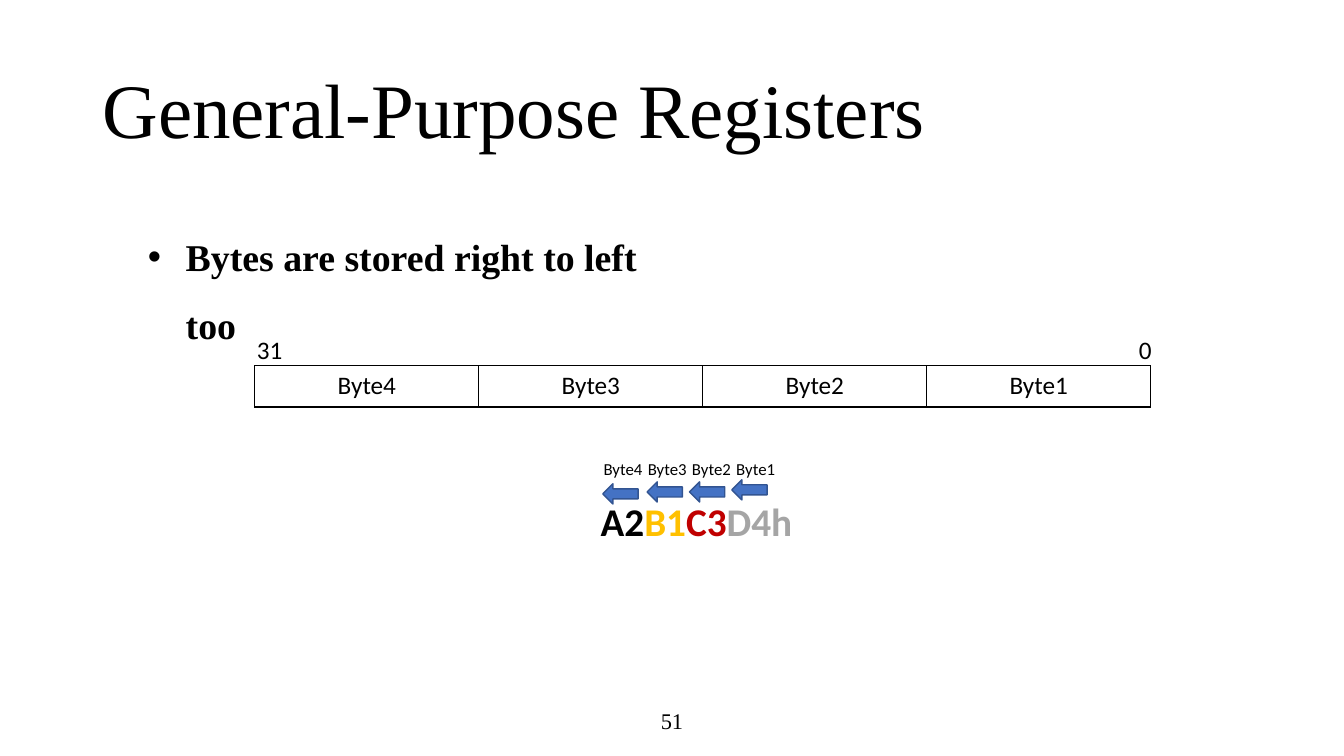
"""Builds a slide on the byte order of general-purpose registers."""
from dataclasses import dataclass

from lxml import etree
from pptx import Presentation
from pptx.dml.color import RGBColor
from pptx.enum.shapes import MSO_SHAPE
from pptx.enum.text import MSO_ANCHOR, MSO_AUTO_SIZE, PP_ALIGN
from pptx.oxml.ns import qn
from pptx.util import Pt

LEFT, CENTER = PP_ALIGN.LEFT, PP_ALIGN.CENTER
TOP, MIDDLE = MSO_ANCHOR.TOP, MSO_ANCHOR.MIDDLE
NO_AUTOFIT = MSO_AUTO_SIZE.NONE
LEFT_ARROW = MSO_SHAPE.LEFT_ARROW

BLACK = RGBColor(0x00, 0x00, 0x00)
GOLD = RGBColor(0xFF, 0xC0, 0x00)
RED = RGBColor(0xC0, 0x00, 0x00)
GRAY = RGBColor(0xA5, 0xA5, 0xA5)
BLUE = RGBColor(0x44, 0x72, 0xC4)
DARK_BLUE = RGBColor(0x32, 0x54, 0x91)

SERIF = "Times New Roman"
SANS = "Calibri"
BYTES = ("Byte4", "Byte3", "Byte2", "Byte1")
LABEL_LEFT, LABEL_STEP = 424, 31.6
ARROWS = ((430.6, 345.6), (462.2, 344.2), (492.5, 344.2), (522.7, 342.7))


@dataclass
class Label:
    left: float
    top: float
    width: float
    height: float
    runs: tuple
    size: float
    font: str = SANS
    bold: bool = False
    wrap: bool = False
    align: PP_ALIGN = LEFT
    anchor: MSO_ANCHOR = TOP


def set_attrs(target, values: dict) -> None:
    for name, value in values.items():
        setattr(target, name, value)


def format_font(font, size: float, name: str, bold=False, color=BLACK) -> None:
    set_attrs(font, {"size": Pt(size), "name": name, "bold": bold})
    font.color.rgb = color


def add_label(shapes, label: Label):
    box = shapes.add_textbox(Pt(label.left), Pt(label.top), Pt(label.width), Pt(label.height))
    tf = box.text_frame
    set_attrs(tf, {"word_wrap": label.wrap, "vertical_anchor": label.anchor})
    p = tf.paragraphs[0]
    p.alignment = label.align
    for text, color in label.runs:
        r = p.add_run()
        r.text = text
        format_font(r.font, label.size, label.font, label.bold, color)
    return p


def add_title(s) -> None:
    title = s.shapes.title
    set_attrs(title, {"left": Pt(66), "top": Pt(28.8), "width": Pt(828), "height": Pt(104.4)})
    tf = title.text_frame
    set_attrs(tf, {"auto_size": NO_AUTOFIT, "vertical_anchor": MIDDLE, "word_wrap": True})
    p = tf.paragraphs[0]
    set_attrs(p, {"alignment": LEFT, "line_spacing": 0.9})
    r = p.add_run()
    r.text = "General-Purpose Registers"
    format_font(r.font, 55, SERIF)


def add_bullet(p) -> None:
    pPr = p._p.get_or_add_pPr()
    pPr.set("marL", str(Pt(27)))
    pPr.set("indent", str(-Pt(27)))
    etree.SubElement(pPr, qn("a:buFont")).set("typeface", "Arial")
    etree.SubElement(pPr, qn("a:buChar")).set("char", "•")
    p.line_spacing = 1.5


def format_cell(cell, text: str) -> None:
    tcPr = cell._tc.get_or_add_tcPr()
    for side in ("a:lnL", "a:lnR", "a:lnT", "a:lnB"):
        ln = etree.SubElement(tcPr, qn(side), w=str(Pt(1)))
        fill = etree.SubElement(ln, qn("a:solidFill"))
        etree.SubElement(fill, qn("a:srgbClr"), val=str(BLACK))
    cell.fill.background()
    p = cell.text_frame.paragraphs[0]
    p.alignment = CENTER
    r = p.add_run()
    r.text = text
    format_font(r.font, 18, SANS)


def add_register(s) -> None:
    table = s.shapes.add_table(1, len(BYTES), Pt(182), Pt(261.2), Pt(640), Pt(29.5)).table
    set_attrs(table, {"first_row": False, "horz_banding": False})
    for cell, text in zip(table.rows[0].cells, BYTES):
        format_cell(cell, text)


def add_arrow(shapes, left: float, top: float) -> None:
    arrow = shapes.add_shape(LEFT_ARROW, Pt(left), Pt(top), Pt(25.2), Pt(14.4))
    arrow.shadow.inherit = False
    arrow.fill.solid()
    arrow.fill.fore_color.rgb = BLUE
    arrow.line.color.rgb = DARK_BLUE
    arrow.line.width = Pt(1)


def add_value(s) -> None:
    shapes = s.shapes.add_group_shape().shapes
    digits = (("A2", BLACK), ("B1", GOLD), ("C3", RED), ("D4h", GRAY))
    add_label(shapes, Label(422, 351.4, 180.7, 41, digits, 28, bold=True, wrap=True))
    for left, top in ARROWS:
        add_arrow(shapes, left, top)
    for i, text in enumerate(BYTES):
        left = LABEL_LEFT + i * LABEL_STEP
        add_label(shapes, Label(left, 324, 42.5, 21.6, ((text, BLACK),), 12))


def main() -> None:
    prs = Presentation()
    set_attrs(prs, {"slide_width": Pt(960), "slide_height": Pt(540)})
    s = prs.slides.add_slide(prs.slide_layouts[5])
    add_title(s)
    add_label(s.shapes, Label(318, 500.5, 324, 28.8, (("51", BLACK),), 16, SERIF,
                              wrap=True, align=CENTER, anchor=MIDDLE))
    statement = (("Bytes are stored right to left too", BLACK),)
    add_bullet(add_label(s.shapes, Label(98.6, 146.9, 405.4, 51.8, statement, 27, SERIF,
                                         bold=True, wrap=True)))
    add_register(s)
    add_label(s.shapes, Label(806.4, 235.4, 23.8, 28.8, (("0", BLACK),), 18))
    add_label(s.shapes, Label(176.4, 235.4, 33.1, 28.8, (("31", BLACK),), 18))
    add_value(s)
    prs.save("out.pptx")


if __name__ == "__main__":
    main()
